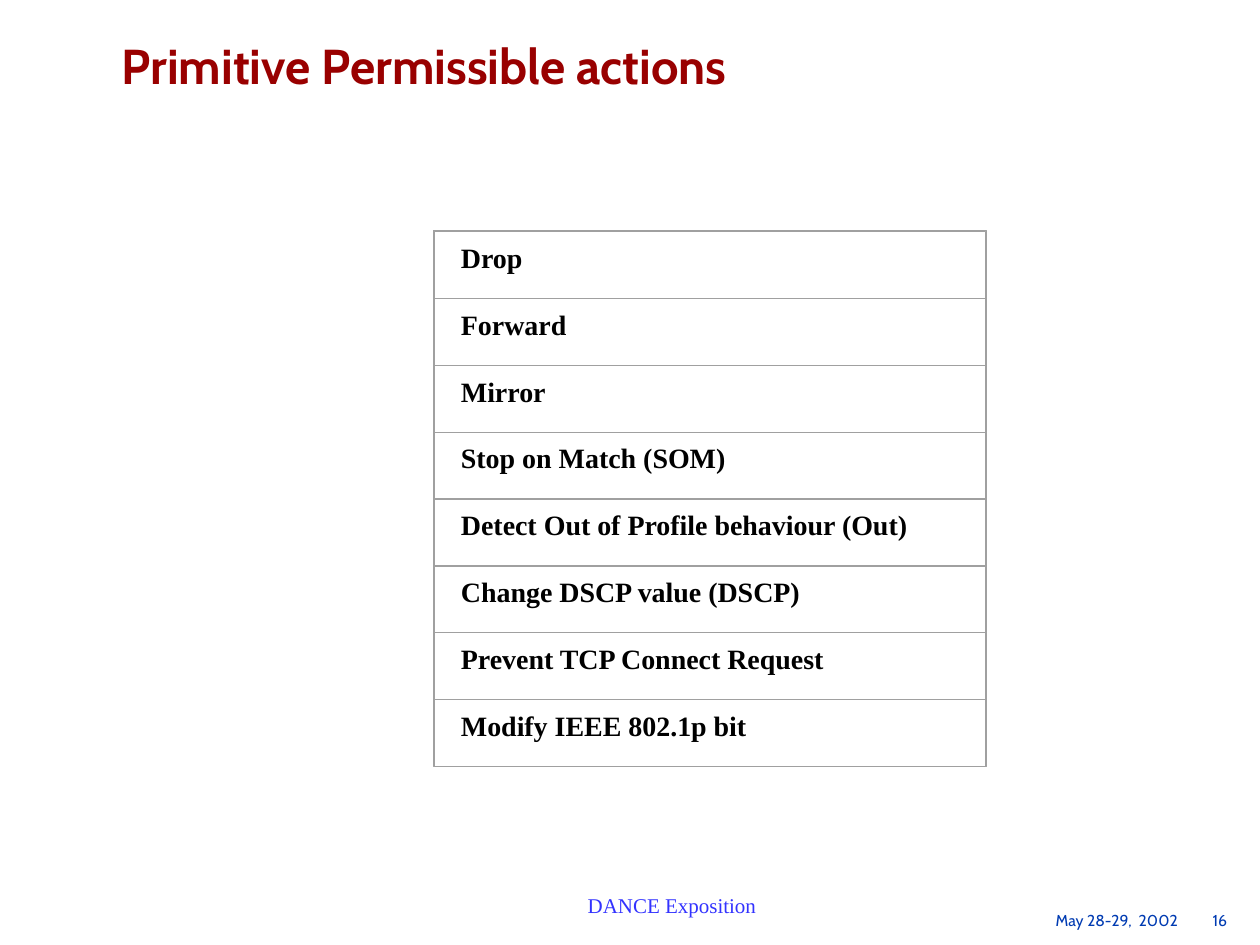
from dataclasses import dataclass

import pptx
import pptx.dml.color
import pptx.enum.shapes
import pptx.enum.text
import pptx.oxml.ns
import pptx.util
from lxml import etree

Pt = pptx.util.Pt
Align = pptx.enum.text.PP_ALIGN
Anchor = pptx.enum.text.MSO_ANCHOR
RECTANGLE = pptx.enum.shapes.MSO_SHAPE.RECTANGLE


@dataclass(frozen=True)
class TextStyle:
    font: str
    size: float
    color: str
    bold: bool = False


@dataclass(frozen=True)
class Theme:
    title: TextStyle = TextStyle("Cabin", 28, "990000", True)
    action: TextStyle = TextStyle("Times New Roman", 16, "000000", True)
    event: TextStyle = TextStyle("Times New Roman", 12, "3333FF")
    date: TextStyle = TextStyle("Cabin", 9, "003BB2")
    border: str = "A0A0A0"
    row_line: float = 0
    frame_line: float = 0.75


@dataclass(frozen=True)
class Box:
    left: float
    top: float
    width: float
    height: float

    def lengths(self) -> tuple[pptx.util.Length, ...]:
        return Pt(self.left), Pt(self.top), Pt(self.width), Pt(self.height)


@dataclass(frozen=True)
class Label:
    text: str
    box: Box
    style: TextStyle
    inset: float = 6.5
    align: Align = Align.LEFT
    line_spacing: float = 1.0
    tabs: tuple[tuple[float, str], ...] = ()


THEME = Theme()
LABELS = (
    Label("Primitive Permissible actions", Box(66, 24, 642, 69), THEME.title,
          inset=3.6, line_spacing=0.9),
    Label("DANCE Exposition", Box(222, 510, 324, 14.4), THEME.event,
          align=Align.CENTER),
    Label("\tMay 28-29,  2002\t16", Box(484.5, 520.4, 232, 12), THEME.date,
          tabs=((182, "r"), (202, "l"))),
)
ACTIONS = (
    "Drop",
    "Forward",
    "Mirror",
    "Stop on Match (SOM)",
    "Detect Out of Profile behaviour (Out)",
    "Change DSCP value (DSCP)",
    "Prevent TCP Connect Request",
    "Modify IEEE 802.1p bit",
)
GRID = Box(248.4, 132.4, 314.8, 305.6)
FRAME = Box(247.8, 131.8, 316, 306.4)


def add_run(paragraph: pptx.text.text._Paragraph, text: str, style: TextStyle) -> None:
    run = paragraph.add_run()
    run.text = text
    run.font.name = style.font
    run.font.size = Pt(style.size)
    run.font.bold = style.bold
    run.font.color.rgb = pptx.dml.color.RGBColor.from_string(style.color)


def add_tabs(paragraph: pptx.text.text._Paragraph,
             tabs: tuple[tuple[float, str], ...]) -> None:
    properties = paragraph._p.get_or_add_pPr()
    tab_list = etree.SubElement(properties, pptx.oxml.ns.qn("a:tabLst"))
    for position, alignment in tabs:
        etree.SubElement(tab_list, pptx.oxml.ns.qn("a:tab"),
                         pos=str(Pt(position)), algn=alignment)


def add_label(slide: pptx.slide.Slide, label: Label) -> None:
    frame = slide.shapes.add_textbox(*label.box.lengths()).text_frame
    frame.word_wrap = True
    frame.margin_left = frame.margin_right = Pt(label.inset)
    frame.margin_top = frame.margin_bottom = Pt(0)
    paragraph = frame.paragraphs[0]
    paragraph.alignment = label.align
    paragraph.line_spacing = label.line_spacing
    if label.tabs:
        add_tabs(paragraph, label.tabs)
    add_run(paragraph, label.text, label.style)


def add_outline(slide: pptx.slide.Slide, box: Box,
                line_width: float) -> pptx.shapes.autoshape.Shape:
    shape = slide.shapes.add_shape(RECTANGLE, *box.lengths())
    shape.shadow.inherit = False
    shape.fill.background()
    shape.line.color.rgb = pptx.dml.color.RGBColor.from_string(THEME.border)
    shape.line.width = Pt(line_width)
    return shape


def add_action_rows(slide: pptx.slide.Slide, actions: tuple[str, ...]) -> None:
    row_height = GRID.height / len(actions)
    for index, action in enumerate(actions):
        row = Box(GRID.left, GRID.top + index * row_height, GRID.width, row_height)
        frame = add_outline(slide, row, THEME.row_line).text_frame
        frame.word_wrap = True
        frame.vertical_anchor = Anchor.TOP
        frame.margin_left = frame.margin_right = Pt(15)
        frame.margin_top = frame.margin_bottom = Pt(5)
        paragraph = frame.paragraphs[0]
        paragraph.alignment = Align.LEFT
        add_run(paragraph, action, THEME.action)
    add_outline(slide, FRAME, THEME.frame_line)


def main() -> None:
    presentation = pptx.Presentation()
    presentation.slide_width = Pt(720)
    presentation.slide_height = Pt(540)
    slide = presentation.slides.add_slide(presentation.slide_layouts[6])
    for label in LABELS:
        add_label(slide, label)
    add_action_rows(slide, ACTIONS)
    presentation.save("out.pptx")


if __name__ == "__main__":
    main()
